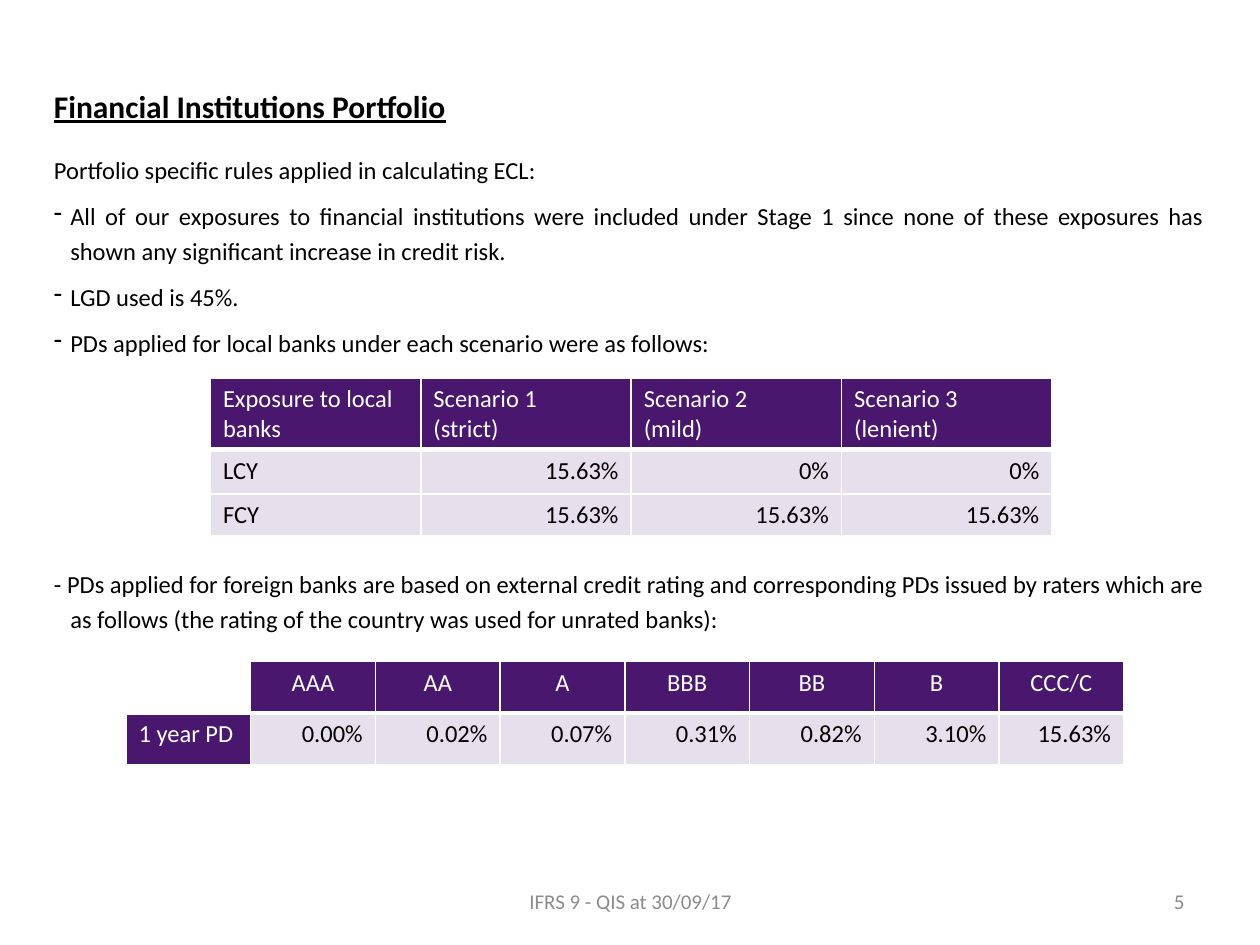
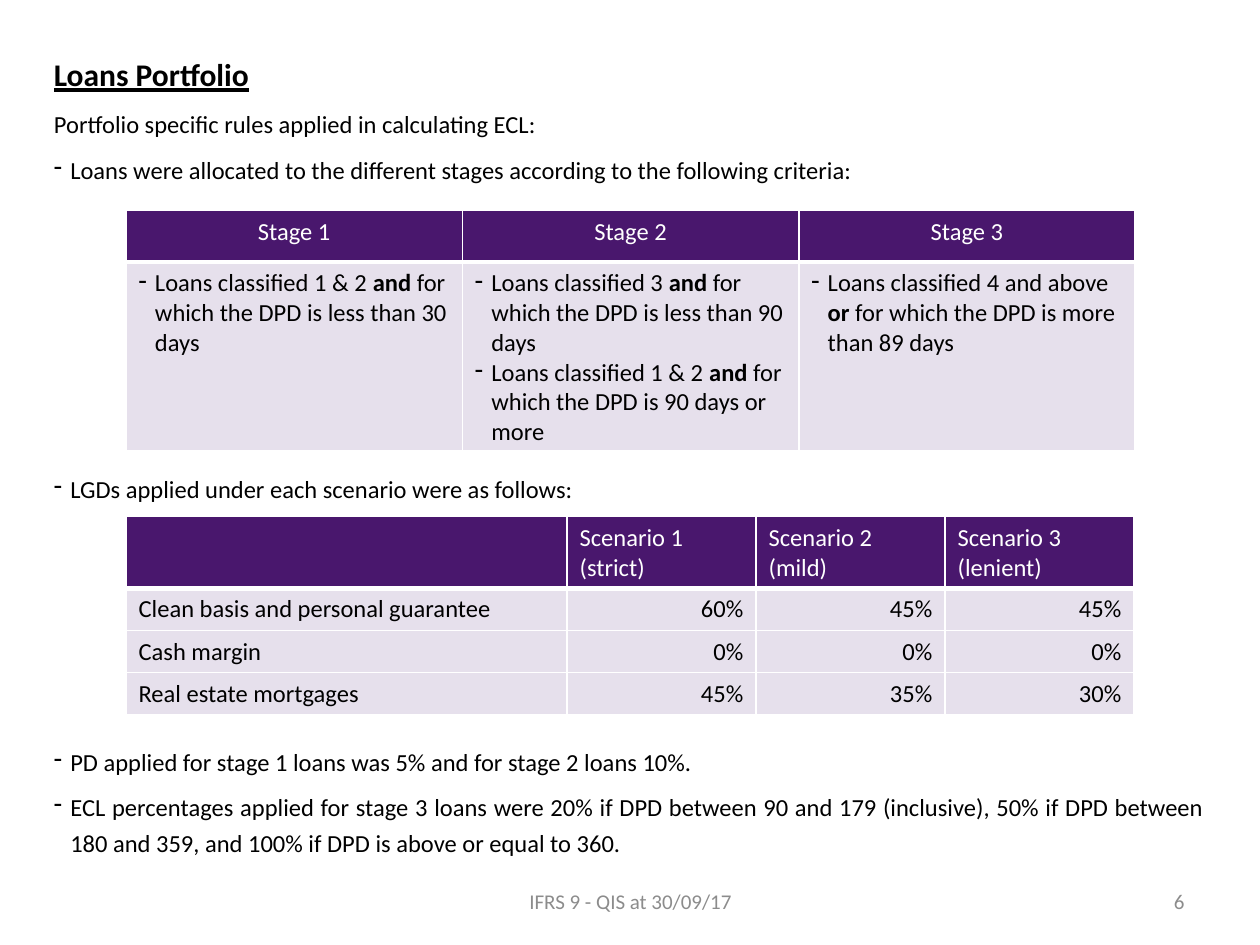
"""Build two slides on portfolio rules for expected credit loss."""
from lxml import etree
from pptx import Presentation, util as u
from pptx.dml.color import RGBColor
from pptx.enum import text
from pptx.oxml import ns

PURPLE, LILAC, WHITE, BLACK, GREY = "49176D", "E6E0EC", "FFFFFF", "000000", "8C8C8C"
ALIGN = text.PP_ALIGN
FOOTER = "IFRS 9 - QIS at 30/09/17"
INTRO = "Portfolio specific rules applied in calculating ECL:"
SCENARIOS = ["Scenario 1\n(strict)", "Scenario 2\n(mild)", "Scenario 3\n(lenient)"]
HANG = 0.13

TITLE = {"size": 18, "bold": True, "underline": True}
BODY = {"size": 14, "bold": False, "underline": False}
SMALL = {"size": 12}

SLIDES = [
    {
        "number": "5",
        "texts": [
            {"top": 0.58, "height": 2.33, "title_after": 8, "lines": [
                ("title", "Financial Institutions Portfolio"),
                ("plain", INTRO),
                ("bullet", "All of our exposures to financial institutions were included under Stage 1 "
                           "since none of these exposures has shown any significant increase in credit risk."),
                ("bullet", "LGD used is 45%."),
                ("bullet", "PDs applied for local banks under each scenario were as follows:"),
            ]},
            {"top": 4.42, "height": 0.65, "lines": [
                ("hanging", "- PDs applied for foreign banks are based on external credit rating and "
                            "corresponding PDs issued by raters which are as follows (the rating of the "
                            "country was used for unrated banks):"),
            ]},
        ],
        "tables": [
            {"at": (1.67, 3), "widths": [1.67] * 4, "heights": [0.57, 0.35, 0.33], "rows": [
                ["Exposure to local banks", *SCENARIOS],
                ["LCY", "15.63%", "0%", "0%"],
                ["FCY", "15.63%", "15.63%", "15.63%"],
            ]},
            {"at": (1, 5.25), "widths": [0.99] * 8, "heights": [0.41] * 2,
             "head_align": ALIGN.CENTER, "side_head": True, "rows": [
                ["", "AAA", "AA", "A", "BBB", "BB", "B", "CCC/C"],
                ["1 year PD", "0.00%", "0.02%", "0.07%", "0.31%", "0.82%", "3.10%", "15.63%"],
             ]},
        ],
    },
    {
        "number": "6",
        "texts": [
            {"top": 0.33, "height": 1.2, "lines": [
                ("title", "Loans Portfolio"),
                ("plain", INTRO),
                ("bullet", "Loans were allocated to the different stages according to the following criteria:"),
            ]},
            {"top": 3.67, "height": 0.36, "lines": [
                ("bullet", "LGDs applied under each scenario were as follows:"),
            ]},
            {"top": 5.83, "height": 1.03, "lines": [
                ("bullet", "PD applied for stage 1 loans was 5% and for stage 2 loans 10%."),
                ("bullet", "ECL percentages applied for stage 3 loans were 20% if DPD between 90 and 179 "
                           "(inclusive), 50% if DPD between 180 and 359, and 100% if DPD is above or equal to 360."),
            ]},
        ],
        "tables": [
            {"at": (1, 1.67), "widths": [2.67] * 3, "heights": [0.41, 1.5],
             "head_align": ALIGN.CENTER, "bullets": True, "rows": [
                ["Stage 1", "Stage 2", "Stage 3"],
                ["Loans classified 1 & 2 **and** for which the DPD is less than 30 days",
                 "Loans classified 3 **and** for which the DPD is less than 90 days\n"
                 "Loans classified 1 & 2 **and** for which the DPD is 90 days or more",
                 "Loans classified 4 and above **or** for which the DPD is more than 89 days"],
             ]},
            {"at": (1, 4.1), "widths": [3.5] + [1.5] * 3, "heights": [0.57] + [0.33] * 3, "rows": [
                ["", *SCENARIOS],
                ["Clean basis and personal guarantee", "60%", "45%", "45%"],
                ["Cash margin", "0%", "0%", "0%"],
                ["Real estate mortgages", "45%", "35%", "30%"],
            ]},
        ],
    },
]


def rgb(value):
    """Turn a hex string into a colour."""
    return RGBColor.from_string(value)


def add_span(para, words, look, colour):
    """Add one formatted run."""
    span = para.add_run()
    span.text = words
    span.font.name = "Calibri"
    span.font.color.rgb = rgb(colour)
    for name, value in look.items():
        setattr(span.font, name, u.Pt(value) if name == "size" else value)


def indent(para, bullet):
    """Give a paragraph a hanging indent and, if asked, a dash bullet."""
    props = para._p.get_or_add_pPr()
    props.set("marL", str(u.Inches(HANG)))
    props.set("indent", str(-u.Inches(HANG)))
    if bullet:
        etree.SubElement(props, ns.qn("a:buChar")).set("char", "-")


def next_para(frame, index):
    """Return the first paragraph of a frame or a new one."""
    return frame.add_paragraph() if index else frame.paragraphs[0]


def add_box(page, left, top, width, height):
    """Add a wrapping text box and return its frame."""
    box = page.shapes.add_textbox(*map(u.Inches, (left, top, width, height)))
    box.text_frame.word_wrap = True
    return box.text_frame


def add_body(page, block):
    """Add a justified block of title, plain and bulleted lines."""
    frame = add_box(page, 0.33, block["top"], 9.33, block["height"])
    frame.auto_size = text.MSO_AUTO_SIZE.SHAPE_TO_FIT_TEXT
    for index, (kind, words) in enumerate(block["lines"]):
        para = next_para(frame, index)
        layout = {"alignment": ALIGN.JUSTIFY, "line_spacing": 1.2,
                  "space_before": u.Pt(6 if index else 0),
                  "space_after": u.Pt(block.get("title_after", 0) if kind == "title" else 0)}
        for name, value in layout.items():
            setattr(para, name, value)
        if kind in ("bullet", "hanging"):
            indent(para, kind == "bullet")
        add_span(para, words, TITLE if kind == "title" else BODY, BLACK)


def add_footer(page, number):
    """Add the footer text and the page number."""
    for left, width, words, align in ((3.42, 3.17, FOOTER, ALIGN.CENTER),
                                      (7.17, 2.33, number, ALIGN.RIGHT)):
        frame = add_box(page, left, 6.95, width, 0.4)
        frame.vertical_anchor = text.MSO_ANCHOR.MIDDLE
        frame.paragraphs[0].alignment = align
        add_span(frame.paragraphs[0], words, SMALL, GREY)


def set_borders(cell, row):
    """Draw white cell borders, thick between header and body."""
    props = cell._tc.get_or_add_tcPr()
    widths = {"L": 1, "R": 1, "T": 3 if row == 1 else 1, "B": 1 if row else 3}
    for side, width in widths.items():
        line = etree.SubElement(props, ns.qn(f"a:ln{side}"), w=str(u.Pt(width)))
        fill = etree.SubElement(line, ns.qn("a:solidFill"))
        etree.SubElement(fill, ns.qn("a:srgbClr"), val=WHITE)


def fill_cell(cell, words, row, column, spec):
    """Write, align and colour one table cell."""
    side_head = spec.get("side_head", False)
    bullets = spec.get("bullets", False) and row > 0
    head = row == 0 or (side_head and column == 0)
    set_borders(cell, row)
    if side_head and row == column == 0:
        cell.fill.background()
    else:
        cell.fill.solid()
        cell.fill.fore_color.rgb = rgb(PURPLE if head else LILAC)
    if row == 0:
        align = spec.get("head_align", ALIGN.LEFT)
    else:
        align = ALIGN.LEFT if bullets or column == 0 else ALIGN.RIGHT
    for index, line in enumerate(words.split("\n") if words else []):
        para = next_para(cell.text_frame, index)
        para.alignment = align
        if bullets:
            indent(para, True)
        for part, piece in enumerate(line.split("**")):
            add_span(para, piece, {**BODY, "bold": part % 2 == 1}, WHITE if head else BLACK)


def add_grid(page, spec):
    """Add a table with header and body cells."""
    rows, widths, heights = spec["rows"], spec["widths"], spec["heights"]
    size = (*spec["at"], sum(widths), sum(heights))
    table = page.shapes.add_table(len(rows), len(widths), *map(u.Inches, size)).table
    table.first_row = table.horz_banding = False
    for column, width in zip(table.columns, widths):
        column.width = u.Inches(width)
    for row, height in zip(table.rows, heights):
        row.height = u.Inches(height)
    for r, values in enumerate(rows):
        for c, words in enumerate(values):
            fill_cell(table.cell(r, c), words, r, c, spec)


def main():
    """Build and save the deck."""
    deck = Presentation()
    deck.slide_width, deck.slide_height = u.Inches(10), u.Inches(7.5)
    for content in SLIDES:
        page = deck.slides.add_slide(deck.slide_layouts[6])
        for block in content["texts"]:
            add_body(page, block)
        for spec in content["tables"]:
            add_grid(page, spec)
        add_footer(page, content["number"])
    deck.save("out.pptx")


if __name__ == "__main__":
    main()
